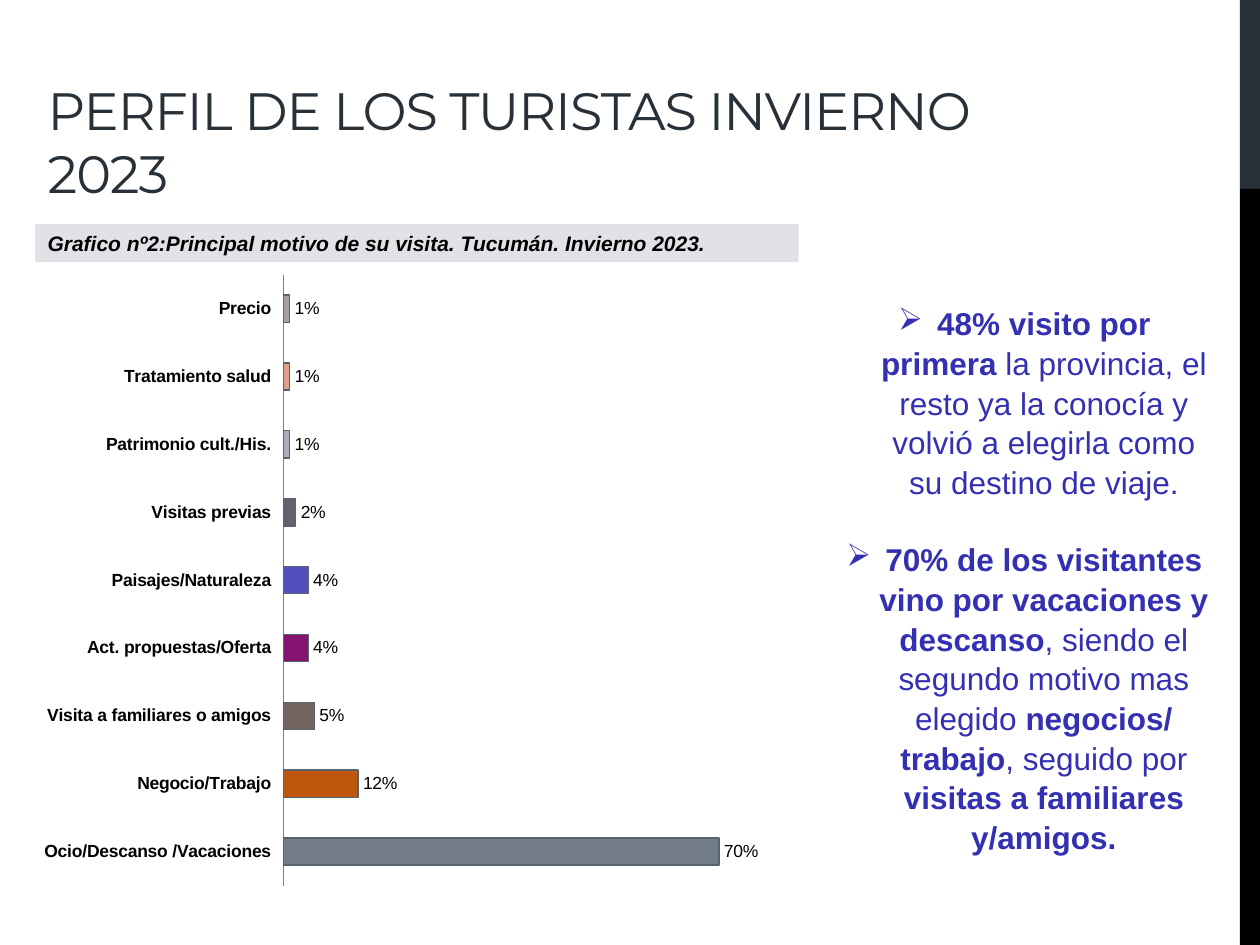
from lxml import etree
from pptx import Presentation
from pptx.chart.data import CategoryChartData
from pptx.dml.color import RGBColor
from pptx.enum.chart import XL_CHART_TYPE, XL_LABEL_POSITION, XL_TICK_LABEL_POSITION, XL_TICK_MARK
from pptx.enum.shapes import MSO_SHAPE
from pptx.enum.text import MSO_ANCHOR, PP_ALIGN
from pptx.oxml.ns import qn
from pptx.util import Inches, Pt

BAR = XL_CHART_TYPE.BAR_CLUSTERED
OUTSIDE = XL_LABEL_POSITION.OUTSIDE_END
LOW = XL_TICK_LABEL_POSITION.LOW
NO_TICK = XL_TICK_MARK.NONE
RECTANGLE = MSO_SHAPE.RECTANGLE
TOP, MIDDLE, BOTTOM = MSO_ANCHOR.TOP, MSO_ANCHOR.MIDDLE, MSO_ANCHOR.BOTTOM
LEFT, CENTER = PP_ALIGN.LEFT, PP_ALIGN.CENTER

COLORS = {
    "dark": "283138", "black": "000000", "caption": "E2E1E5",
    "note": "3330B1", "outline": "56626E", "axis": "808080",
}

# Content: a paragraph is a list of (text, bold) runs
TITLE = [[("PERFIL DE LOS TURISTAS INVIERNO 2023", False)]]
CAPTION = [[("Grafico nº2:Principal motivo de su visita. Tucumán. Invierno 2023.", True)]]
NOTES = [
    [("48% visito por primera ", True),
     ("la provincia, el resto ya la conocía y volvió a elegirla como su destino de viaje.", False)],
    [("70% de los visitantes vino por vacaciones y descanso", True),
     (", siendo el segundo motivo mas elegido ", False),
     ("negocios/ trabajo", True),
     (", seguido por ", False),
     ("visitas a familiares y/amigos.", True)],
]
REASONS = [  # reason, share, bar colour
    ("Ocio/Descanso /Vacaciones", 0.70, "737E89"),
    ("Negocio/Trabajo", 0.12, "BE560B"),
    ("Visita a familiares o amigos", 0.05, "736662"),
    ("Act. propuestas/Oferta", 0.04, "85126F"),
    ("Paisajes/Naturaleza", 0.04, "5350BD"),
    ("Visitas previas", 0.02, "636070"),
    ("Patrimonio cult./His.", 0.01, "A9AFBB"),
    ("Tratamiento salud", 0.01, "DF9F88"),
    ("Precio", 0.01, "A9A09D"),
]
SIDE_BANDS = [(0, 1.5, "dark"), (1.5, 6, "black")]  # top, height, colour
PLOT = {"x": 0.325, "y": 0.02, "w": 0.652, "h": 0.96}  # shares of the chart frame


def rgb(value):
    return RGBColor.from_string(value)


def add_block(slide, left, top, width, height, fill):
    block = slide.shapes.add_shape(
        RECTANGLE, Inches(left), Inches(top), Inches(width), Inches(height))
    block.shadow.inherit = False
    block.fill.solid()
    block.fill.fore_color.rgb = rgb(COLORS[fill])
    block.line.fill.background()
    return block


def add_box(slide, left, top, width, height):
    return slide.shapes.add_textbox(
        Inches(left), Inches(top), Inches(width), Inches(height))


def write(box, paragraphs, size, color, font="Arial", italic=False, align=LEFT,
          anchor=TOP, bullet=None, spacing=1.0, gap=0, tracking=0):
    frame = box.text_frame
    frame.word_wrap = True
    frame.vertical_anchor = anchor
    for index, runs in enumerate(paragraphs):
        para = frame.paragraphs[0] if index == 0 else frame.add_paragraph()
        para.alignment = align
        para.line_spacing = spacing
        if index:
            para.space_before = Pt(gap)
        if bullet:
            properties = para._p.get_or_add_pPr()
            properties.set("marL", str(Inches(0.31)))
            properties.set("indent", str(-Inches(0.31)))
            etree.SubElement(properties, qn("a:buChar"), char=bullet)
        for text, bold in runs:
            span = para.add_run()
            span.text = text
            span.font.name = font
            span.font.size = Pt(size)
            span.font.bold = bold
            span.font.italic = italic
            span.font.color.rgb = rgb(COLORS[color])
            if tracking:
                span.font._element.set("spc", str(round(tracking * 100)))


def add_reason_chart(slide, left, top, width, height):
    data = CategoryChartData(number_format="0%")
    data.categories = [name for name, _, _ in REASONS]
    data.add_series("Series 1", [share for _, share, _ in REASONS])
    chart = slide.shapes.add_chart(
        BAR, Inches(left), Inches(top), Inches(width), Inches(height), data).chart
    chart.has_legend = False
    chart.has_title = False
    chart.font.name = "Arial"
    chart.font.size = Pt(10)
    chart.font.color.rgb = rgb(COLORS["black"])

    # Axes
    categories = chart.category_axis
    categories.major_tick_mark = NO_TICK
    categories.tick_label_position = LOW
    categories.tick_labels.font.bold = True
    categories.format.line.color.rgb = rgb(COLORS["axis"])
    values = chart.value_axis
    values.minimum_scale, values.maximum_scale = 0, 0.8
    values.has_major_gridlines = False
    values.visible = False

    # Bars and labels
    plot = chart.plots[0]
    plot.gap_width = 150
    plot.overlap = -25
    plot.vary_by_categories = False
    plot.has_data_labels = True
    labels = plot.data_labels
    labels.show_value = True
    labels.number_format = "0%"
    labels.number_format_is_linked = False
    labels.position = OUTSIDE
    for index, (_, _, color) in enumerate(REASONS):
        bar = plot.series[0].points[index].format
        bar.fill.solid()
        bar.fill.fore_color.rgb = rgb(color)
        bar.line.color.rgb = rgb(COLORS["outline"])
        bar.line.width = Pt(0.75)

    # Fixed inner plot area
    area = chart._chartSpace.chart.plotArea
    for old in area.findall(qn("c:layout")):
        area.remove(old)
    layout = etree.Element(qn("c:layout"))
    manual = etree.SubElement(layout, qn("c:manualLayout"))
    settings = {"layoutTarget": "inner", "xMode": "edge", "yMode": "edge", **PLOT}
    for tag, value in settings.items():
        etree.SubElement(manual, qn(f"c:{tag}"), val=str(value))
    area.insert(0, layout)


def main():
    deck = Presentation()
    deck.slide_width, deck.slide_height = Inches(10), Inches(7.5)
    slide = deck.slides.add_slide(deck.slide_layouts[6])

    # Side bands
    for top, height, color in SIDE_BANDS:
        add_block(slide, 9.84, top, 0.16, height, color)

    # Title
    write(add_box(slide, 0.28, 0.17, 7.8, 1.5), TITLE, 30, "dark",
          font="Montserrat", anchor=BOTTOM, tracking=-0.6)

    # Chart with its caption
    add_reason_chart(slide, 0.28, 2.08, 6.06, 5.05)
    write(add_block(slide, 0.28, 1.78, 6.06, 0.3, "caption"), CAPTION, 12, "black",
          italic=True, anchor=MIDDLE)

    # Findings
    write(add_box(slide, 6.55, 2.35, 3.16, 4.64), NOTES, 18, "note",
          align=CENTER, bullet="➢", spacing=1.05, gap=21.5)

    deck.save("out.pptx")


if __name__ == "__main__":
    main()
